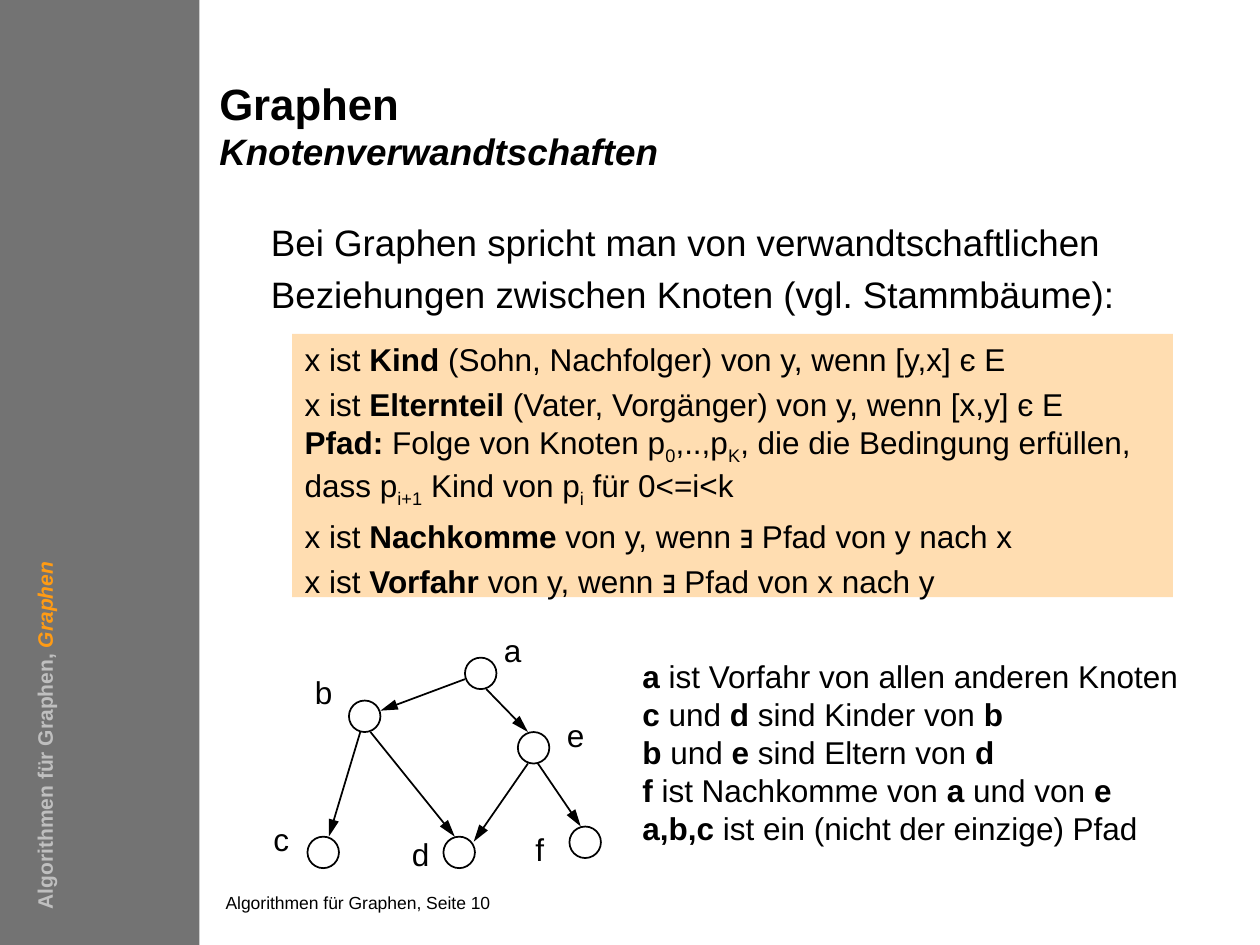
from lxml.etree import SubElement
from pptx import Presentation
from pptx.dml.color import RGBColor
from pptx.enum.shapes import MSO_CONNECTOR, MSO_SHAPE
from pptx.enum.text import MSO_ANCHOR, MSO_AUTO_SIZE, PP_ALIGN
from pptx.oxml.ns import qn
from pptx.util import Pt

COLORS = {
    "black": "000000",
    "sidebar": "737373",
    "sidebar_text": "BFBFBF",
    "accent": "FF9B14",
    "box": "FFBD65",
}
BOLD, SUB = "bold", "subscript"
NODE_SIZE = 18
LABEL_INSETS = (11.5, 5.75, 11.5, 5.75)
TEXT_INSETS = (7.2, 3.6, 7.2, 3.6)

# Each paragraph is a list of (text, style) runs.
DEFINITIONS = [
    [("x ist ", ""), ("Kind", BOLD), (" (Sohn, Nachfolger) von y, wenn [y,x] є E", "")],
    [("x ist ", ""), ("Elternteil", BOLD), (" (Vater, Vorgänger) von y, wenn [x,y] є E", "")],
    [("Pfad:", BOLD), (" Folge von Knoten p", ""), ("0", SUB), (",..,p", ""), ("K", SUB),
     (", die die Bedingung erfüllen, dass p", ""), ("i+1", SUB), (" Kind von p", ""),
     ("i", SUB), (" für 0<=i<k", "")],
    [("x ist ", ""), ("Nachkomme", BOLD), (" von y, wenn ∃ Pfad von y nach x", "")],
    [("x ist ", ""), ("Vorfahr", BOLD), (" von y, wenn ∃ Pfad von x nach y", "")],
]
DEFINITION_SPACES = [0, 4.3, 0, 4.3, 4.3]
EXAMPLES = [
    [("a", BOLD), (" ist Vorfahr von allen anderen Knoten", "")],
    [("c", BOLD), (" und ", ""), ("d", BOLD), (" sind Kinder von ", ""), ("b", BOLD)],
    [("b", BOLD), (" und ", ""), ("e", BOLD), (" sind Eltern von ", ""), ("d", BOLD)],
    [("f", BOLD), (" ist Nachkomme von ", ""), ("a", BOLD), (" und von ", ""), ("e", BOLD)],
    [("a,b,c", BOLD), (" ist ein (nicht der einzige) Pfad", "")],
]
# Name: (node left, node top, label left, label top)
NODES = {
    "a": (265.7, 375.8, 276.5, 355),
    "b": (199.4, 400.3, 168.5, 378.7),
    "c": (175.7, 478.1, 144.7, 463),
    "d": (253.4, 478.1, 223.9, 471.6),
    "e": (295.9, 418.3, 312.5, 403.2),
    "f": (325.4, 472.3, 294.5, 468.7),
}
# Start x, start y, end x, end y
EDGES = [
    (265.7, 388.1, 217.4, 406.1),
    (205.9, 418.3, 187.9, 478.1),
    (277.9, 393.8, 301.7, 418.3),
    (211.7, 418.3, 259.9, 478.1),
    (307.4, 436.3, 331.9, 472.3),
    (301.7, 436.3, 270.7, 481),
]


def color(name):
    return RGBColor.from_string(COLORS[name])


def add_run(paragraph, text, size, bold=False, italic=False, color_name="black"):
    run = paragraph.add_run()
    run.text = text
    font = run.font
    font.name, font.size, font.bold, font.italic = "Arial", Pt(size), bold, italic
    font.color.rgb = color(color_name)
    return run


def place(shape, left, top, width, height):
    shape.left, shape.top, shape.width, shape.height = map(Pt, (left, top, width, height))


def set_frame(shape, insets=(0, 0, 0, 0), wrap=True):
    frame = shape.text_frame
    frame.margin_left, frame.margin_top, frame.margin_right, frame.margin_bottom = map(Pt, insets)
    frame.auto_size = MSO_AUTO_SIZE.NONE
    frame.vertical_anchor = MSO_ANCHOR.TOP
    frame.word_wrap = wrap
    return frame


def add_text_box(slide, bounds, insets=(0, 0, 0, 0), wrap=True):
    shape = slide.shapes.add_textbox(*map(Pt, bounds))
    return shape, set_frame(shape, insets, wrap)


def add_shape(slide, kind, bounds, fill=None, line=None):
    shape = slide.shapes.add_shape(kind, *map(Pt, bounds))
    shape.shadow.inherit = False
    if fill:
        shape.fill.solid()
        shape.fill.fore_color.rgb = color(fill)
    else:
        shape.fill.background()
    if line:
        shape.line.color.rgb = color(line)
        shape.line.width = Pt(1)
    else:
        shape.line.fill.background()
    return shape


def fill_paragraphs(frame, paragraphs, spaces):
    for index, (runs, space) in enumerate(zip(paragraphs, spaces)):
        paragraph = frame.paragraphs[0] if index == 0 else frame.add_paragraph()
        paragraph.alignment = PP_ALIGN.LEFT
        paragraph.space_before = Pt(space)
        for text, style in runs:
            run = add_run(paragraph, text, 18, bold=style == BOLD)
            if style == SUB:
                run.font._element.set("baseline", "-25000")


def add_sidebar(slide):
    add_shape(slide, MSO_SHAPE.RECTANGLE, (0, 0, 114, 540), fill="sidebar")
    shape, frame = add_text_box(slide, (-142.6, 347.8, 336.2, 21.6), TEXT_INSETS)
    shape.rotation = 270
    paragraph = frame.paragraphs[0]
    add_run(paragraph, "Algorithmen für Graphen, ", 12, bold=True, color_name="sidebar_text")
    add_run(paragraph, "Graphen", 12, bold=True, italic=True, color_name="accent")


def add_title(slide):
    title = slide.shapes.title
    place(title, 125.3, 48.2, 367.2, 54)
    paragraph = set_frame(title).paragraphs[0]
    paragraph.alignment = PP_ALIGN.LEFT
    paragraph.line_spacing = Pt(25.4)
    add_run(paragraph, "Graphen", 25, bold=True)
    paragraph.add_line_break()
    add_run(paragraph, "Knotenverwandtschaften", 21, bold=True, italic=True)


def add_introduction(slide):
    body = slide.placeholders[1]
    place(body, 127.4, 121, 581, 381.6)
    paragraph = set_frame(body).paragraphs[0]
    properties = paragraph._p.get_or_add_pPr()
    properties.set("marL", str(Pt(27.4)))
    properties.set("indent", "0")
    SubElement(properties, qn("a:buNone"))
    paragraph.line_spacing = 1.18
    paragraph.space_before = Pt(0)
    add_run(paragraph, "Bei Graphen spricht man von verwandtschaftlichen "
            "Beziehungen zwischen Knoten (vgl. Stammbäume):", 21)


def add_definitions(slide):
    box = add_shape(slide, MSO_SHAPE.RECTANGLE, (167, 190.8, 503.3, 150.5), fill="box")
    fill_color = box.fill._xPr.find(qn("a:solidFill")).find(qn("a:srgbClr"))
    SubElement(fill_color, qn("a:alpha"), val="50000")
    fill_paragraphs(set_frame(box, TEXT_INSETS), DEFINITIONS, DEFINITION_SPACES)


def add_arrow(slide, start_x, start_y, end_x, end_y):
    connector = slide.shapes.add_connector(
        MSO_CONNECTOR.STRAIGHT, *map(Pt, (start_x, start_y, end_x, end_y)))
    connector.line.color.rgb = color("black")
    connector.line.width = Pt(1)
    SubElement(connector.line._get_or_add_ln(), qn("a:tailEnd"), type="triangle", w="med", len="lg")
    SubElement(connector._element.spPr, qn("a:effectLst"))


def add_graph(slide):
    for name, (left, top, label_left, label_top) in NODES.items():
        add_shape(slide, MSO_SHAPE.OVAL, (left, top, NODE_SIZE, NODE_SIZE), line="black")
        _, frame = add_text_box(slide, (label_left, label_top, 33.8, 33), LABEL_INSETS, wrap=False)
        add_run(frame.paragraphs[0], name, 18)
    for edge in EDGES:
        add_arrow(slide, *edge)


def main():
    presentation = Presentation()
    presentation.slide_width, presentation.slide_height = Pt(720), Pt(540)
    slide = presentation.slides.add_slide(presentation.slide_layouts[1])
    add_sidebar(slide)
    add_title(slide)
    add_introduction(slide)
    add_definitions(slide)
    add_graph(slide)
    _, examples = add_text_box(slide, (360, 372.2, 321.8, 115.2), TEXT_INSETS, wrap=False)
    fill_paragraphs(examples, EXAMPLES, [0] * len(EXAMPLES))
    _, footer = add_text_box(slide, (128.9, 509.8, 350, 15.1))
    add_run(footer.paragraphs[0], "Algorithmen für Graphen, Seite 10", 10)
    presentation.save("out.pptx")


if __name__ == "__main__":
    main()
